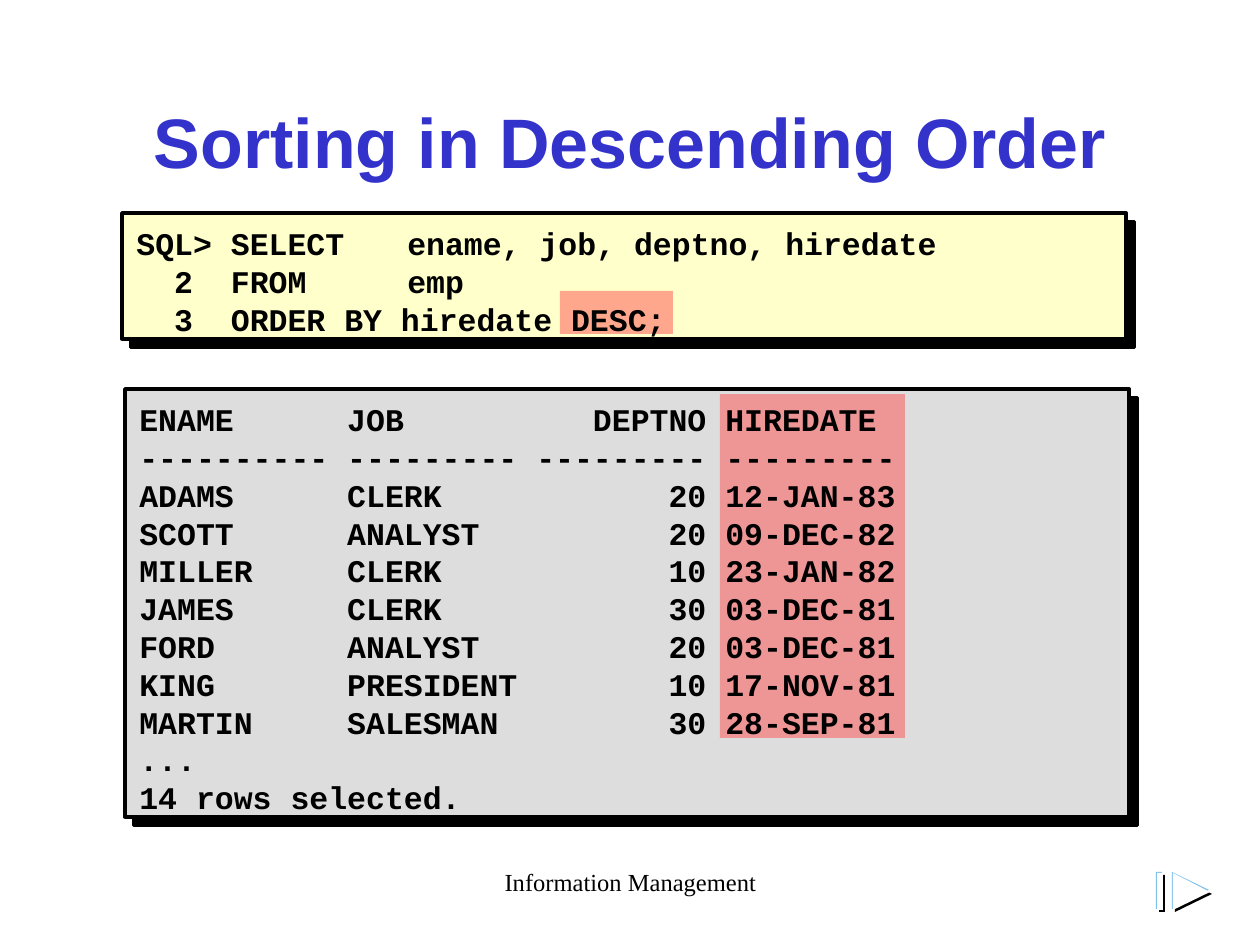
from lxml import etree
from pptx import Presentation
from pptx.dml.color import RGBColor
from pptx.enum.shapes import MSO_SHAPE
from pptx.enum.text import MSO_ANCHOR, PP_ALIGN
from pptx.oxml.ns import qn
from pptx.util import Emu, Pt

RECTANGLE = MSO_SHAPE.RECTANGLE
TOP, MIDDLE = MSO_ANCHOR.TOP, MSO_ANCHOR.MIDDLE
LEFT, CENTER = PP_ALIGN.LEFT, PP_ALIGN.CENTER
EMU_PER_PX = 914400 / 126
COLORS = {
    "black": "000000",
    "white": "FFFFFF",
    "title": "3333CC",
    "query": "FFFFCC",
    "result": "DDDDDD",
    "highlight": "FF5050",
    "icon": "7FC1EB",
}
QUERY_LINES = [
    "SQL> SELECT  \t ename, job, deptno, hiredate",
    "  2  FROM    \t emp",
    "  3  ORDER BY hiredate DESC;",
]
EMPLOYEES = [
    ("ENAME", "JOB", "DEPTNO", "HIREDATE"),
    ("-" * 10, "-" * 9, "-" * 9, "-" * 9),
    ("ADAMS", "CLERK", 20, "12-JAN-83"),
    ("SCOTT", "ANALYST", 20, "09-DEC-82"),
    ("MILLER", "CLERK", 10, "23-JAN-82"),
    ("JAMES", "CLERK", 30, "03-DEC-81"),
    ("FORD", "ANALYST", 20, "03-DEC-81"),
    ("KING", "PRESIDENT", 10, "17-NOV-81"),
    ("MARTIN", "SALESMAN", 30, "28-SEP-81"),
]


def px(length):
    return Emu(round(length * EMU_PER_PX))


def rgb(name):
    return RGBColor.from_string(COLORS[name])


def add_color(parent, name):
    return etree.SubElement(parent, qn("a:srgbClr"), val=COLORS[name])


def shadow_effect(distance):
    effects = etree.Element(qn("a:effectLst"))
    shadow = etree.SubElement(
        effects, qn("a:outerShdw"), dist=str(Pt(distance)), dir="2700000",
        algn="ctr", rotWithShape="0")
    add_color(shadow, "black")
    return effects


def paint(part, fill):
    part.shadow.inherit = False
    part.fill.solid()
    part.fill.fore_color.rgb = rgb(fill)
    part.line.fill.background()


def add_block(shapes, box, fill):
    block = shapes.add_shape(RECTANGLE, *map(px, box))
    paint(block, fill)
    return block


def add_panel(shapes, box, fill):
    panel = add_block(shapes, box, fill)
    panel.line.color.rgb = rgb("black")
    panel.line.width = Pt(2)
    properties = panel._element.spPr
    properties.remove(properties.find(qn("a:effectLst")))
    properties.append(shadow_effect(7.1))


def add_highlight(shapes, box):
    highlight = add_block(shapes, box, "highlight")
    color = highlight._element.spPr.find(qn("a:solidFill"))[0]
    etree.SubElement(color, qn("a:alpha"), val="50000")


def add_triangle(shapes, left, top, fill):
    size = 37
    builder = shapes.build_freeform(left, top, scale=EMU_PER_PX)
    builder.add_line_segments(
        [(left, top + size), (left + size, top + size / 2)], close=True)
    paint(builder.convert_to_shape(), fill)


def add_text(shapes, box, lines, font, size, color="black", bold=False,
             align=CENTER, anchor=TOP):
    label = shapes.add_textbox(*map(px, box))
    frame = label.text_frame
    frame.word_wrap = True
    frame.vertical_anchor = anchor
    frame.text = "\n".join(lines)
    for paragraph in frame.paragraphs:
        paragraph.alignment = align
        for run in paragraph.runs:
            run.font.name = font
            run.font.size = Pt(size)
            run.font.bold = bold
            run.font.color.rgb = rgb(color)
    return frame


def add_title(shapes, title):
    frame = add_text(shapes, (94, 92, 1072, 150), [title], "Arial", 40,
                     "title", bold=True)
    properties = frame.paragraphs[0].runs[0].font._element
    properties.find(qn("a:solidFill")).addnext(shadow_effect(3))


def add_code(shapes, box, lines):
    frame = add_text(shapes, box, lines, "Courier New", 18, bold=True,
                     align=LEFT, anchor=MIDDLE)
    for paragraph in frame.paragraphs:
        paragraph.line_spacing = Pt(21.6)
        tabs = etree.SubElement(paragraph._p.get_or_add_pPr(), qn("a:tabLst"))
        etree.SubElement(tabs, qn("a:tab"), pos=str(px(252)), algn="l")


def add_next_icon(shapes):
    icon = shapes.add_group_shape().shapes
    layers = [(3, 3, "black"), (0, 0, "icon"), (1, 1, "white")]
    for dx, dy, fill in layers:
        add_block(icon, (1156 + dx, 872 + dy, 6, 37), fill)
    for dx, dy, fill in layers:
        add_triangle(icon, 1172 + dx, 872 + dy, fill)


def main():
    presentation = Presentation()
    presentation.slide_width = px(1260)
    presentation.slide_height = px(945)
    slide = presentation.slides.add_slide(presentation.slide_layouts[6])
    shapes = slide.shapes

    result_lines = [
        f"{name:<10} {job:<9} {deptno:>9} {hiredate}"
        for name, job, deptno, hiredate in EMPLOYEES
    ] + ["...", "14 rows selected."]

    add_text(shapes, (431, 861, 399, 63), ["Information Management"],
             "Times New Roman", 14)
    add_panel(shapes, (122, 213, 1004, 126), "query")
    add_panel(shapes, (125, 389, 1004, 428), "result")
    add_title(shapes, "Sorting in Descending Order")
    add_highlight(shapes, (560, 291, 113, 43))
    add_highlight(shapes, (720, 394, 185, 344))
    add_code(shapes, (124, 216, 1008, 130), QUERY_LINES)
    add_code(shapes, (127, 392, 1008, 432), result_lines)
    add_next_icon(shapes)
    presentation.save("out.pptx")


if __name__ == "__main__":
    main()
